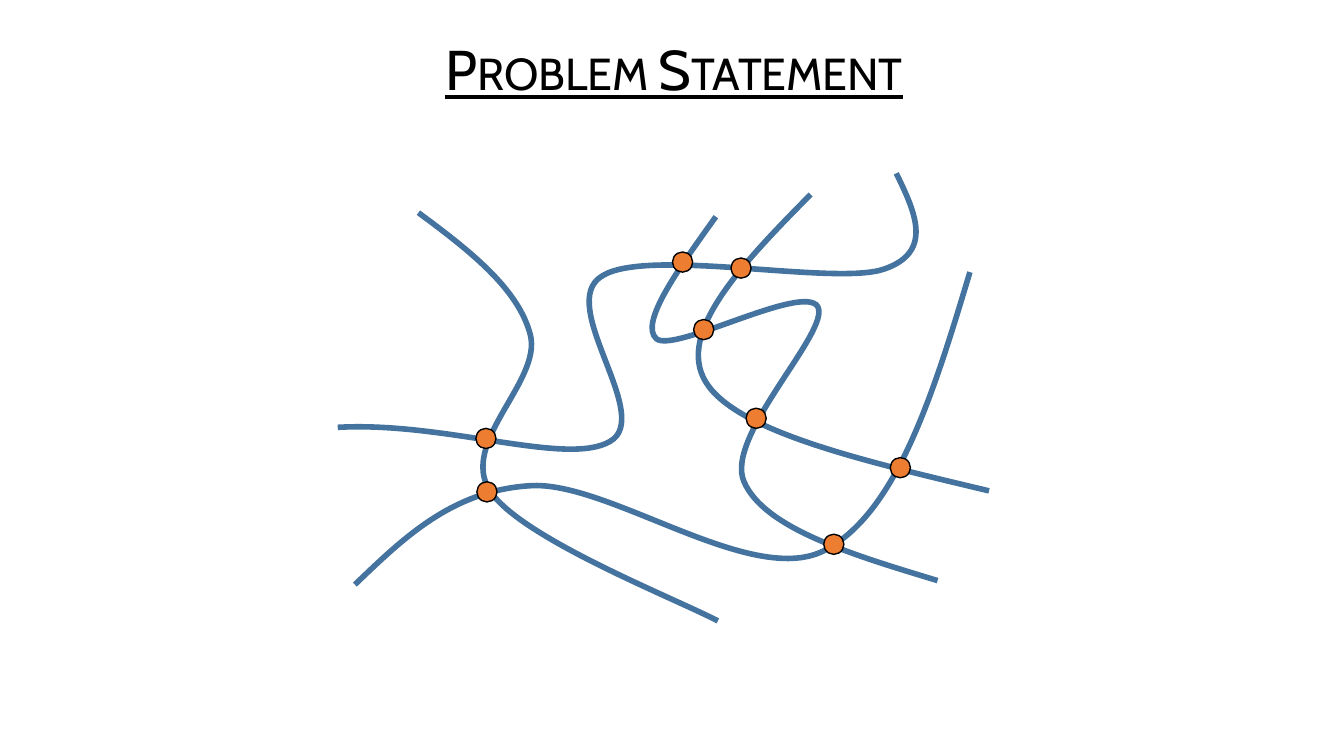
import lxml.etree
import pptx
import pptx.dml.color
import pptx.enum.shapes
import pptx.enum.text
import pptx.oxml.ns
import pptx.util

Inches = pptx.util.Inches
Pt = pptx.util.Pt
qn = pptx.oxml.ns.qn

COLORS = {"road": "43739E", "junction": "ED7D31", "ink": "000000"}
STEPS = 32
DOT = 0.2
MAP_BOX = (3.35, 1.72)

# Offsets from the map corner: a start point, then three points per Bezier curve.
ROADS = [
    [(0, 2.52), (1.07, 2.46), (2.27, 2.91), (2.7, 2.66),
     (3.14, 2.41), (2.16, 1.3), (2.62, 1.02),
     (3.07, 0.73), (4.93, 1.12), (5.42, 0.95),
     (5.91, 0.78), (5.73, 0.39), (5.54, 0)],
    [(0.8, 0.39), (1.3, 0.76), (1.79, 1.14), (1.91, 1.6),
     (2.03, 2.06), (1.2, 2.67), (1.51, 3.15),
     (1.82, 3.62), (3.33, 4.21), (3.77, 4.44)],
    [(0.17, 4.08), (0.65, 3.62), (1.13, 3.15), (1.9, 3.1),
     (2.67, 3.04), (4.08, 4.1), (4.81, 3.75),
     (5.54, 3.39), (5.91, 2.18), (6.27, 0.98)],
    [(5.95, 4.04), (5.09, 3.78), (4.23, 3.52), (4.03, 3.06),
     (3.83, 2.61), (4.9, 1.56), (4.76, 1.32),
     (4.61, 1.09), (3.33, 1.79), (3.16, 1.64),
     (2.99, 1.49), (3.37, 0.96), (3.75, 0.43)],
    [(4.69, 0.21), (4.02, 0.89), (3.35, 1.58), (3.65, 2.07),
     (3.95, 2.56), (5.2, 2.85), (6.46, 3.15)],
]
# Top left corners of the dots, from the map corner.
JUNCTIONS = [(3.32, 0.78), (4.82, 3.58), (1.37, 2.53), (1.38, 3.06),
             (3.9, 0.84), (3.53, 1.45), (4.05, 2.33), (5.48, 2.82)]


def rgb(name):
    return pptx.dml.color.RGBColor.from_string(COLORS[name])


def curve_extent(controls, axis):
    """Return the least and greatest value a chain of Bezier curves reaches."""
    values = []
    for first in range(0, len(controls) - 1, 3):
        a, b, c, d = (point[axis] for point in controls[first:first + 4])
        for step in range(STEPS + 1):
            t = step / STEPS
            u = 1 - t
            values.append(a * u ** 3 + 3 * b * t * u ** 2
                          + 3 * c * t ** 2 * u + d * t ** 3)
    return min(values), max(values)


def add_command(outline, tag, points):
    command = lxml.etree.SubElement(outline, qn(tag))
    for x, y in points:
        lxml.etree.SubElement(command, qn("a:pt"), x=str(x), y=str(y))


def add_road(page, left, top, controls):
    """Add an open curve: a freeform the size of its extent, then its Beziers."""
    x_min, x_max = curve_extent(controls, 0)
    y_min, y_max = curve_extent(controls, 1)
    builder = page.shapes.build_freeform(Inches(left + x_min), Inches(top + y_min))
    builder.add_line_segments(
        [(Inches(left + x_max), Inches(top + y_max))], close=False)
    road = builder.convert_to_shape()
    outline = next(road._element.iter(qn("a:path")))
    for command in list(outline):
        outline.remove(command)
    points = [(Inches(x - x_min), Inches(y - y_min)) for x, y in controls]
    add_command(outline, "a:moveTo", points[:1])
    for first in range(1, len(points), 3):
        add_command(outline, "a:cubicBezTo", points[first:first + 3])
    road.shadow.inherit = False
    road.fill.background()
    road.line.color.rgb = rgb("road")
    road.line.width = Pt(4)


def add_junction(page, left, top):
    dot = page.shapes.add_shape(
        pptx.enum.shapes.MSO_SHAPE.OVAL,
        Inches(left), Inches(top), Inches(DOT), Inches(DOT))
    dot.shadow.inherit = False
    dot.fill.solid()
    dot.fill.fore_color.rgb = rgb("junction")
    dot.line.color.rgb = rgb("ink")
    dot.line.width = Pt(1)


def add_road_map(page, left, top):
    for controls in ROADS:
        add_road(page, left, top, controls)
    for x, y in JUNCTIONS:
        add_junction(page, left + x, top + y)


def add_title(page, left, top, width, height, wording):
    box = page.shapes.add_textbox(
        Inches(left), Inches(top), Inches(width), Inches(height))
    frame = box.text_frame
    frame.word_wrap = True
    frame.margin_left = Inches(0.15)
    frame.vertical_anchor = pptx.enum.text.MSO_ANCHOR.MIDDLE
    para = frame.paragraphs[0]
    para.alignment = pptx.enum.text.PP_ALIGN.CENTER
    para.line_spacing = 0.9
    para.space_before = Pt(10)
    span = para.add_run()
    span.text = wording
    span.font.name = "Cabin"
    span.font.size = Pt(40)
    span.font.underline = True
    span.font.color.rgb = rgb("ink")
    span._r.get_or_add_rPr().set("cap", "small")


def main():
    deck = pptx.Presentation()
    deck.slide_width = Inches(13.33)
    deck.slide_height = Inches(7.5)
    page = deck.slides.add_slide(deck.slide_layouts[6])
    add_title(page, 1.74, 0.29, 9.84, 0.85, "Problem Statement")
    add_road_map(page, *MAP_BOX)
    deck.save("out.pptx")


if __name__ == "__main__":
    main()
